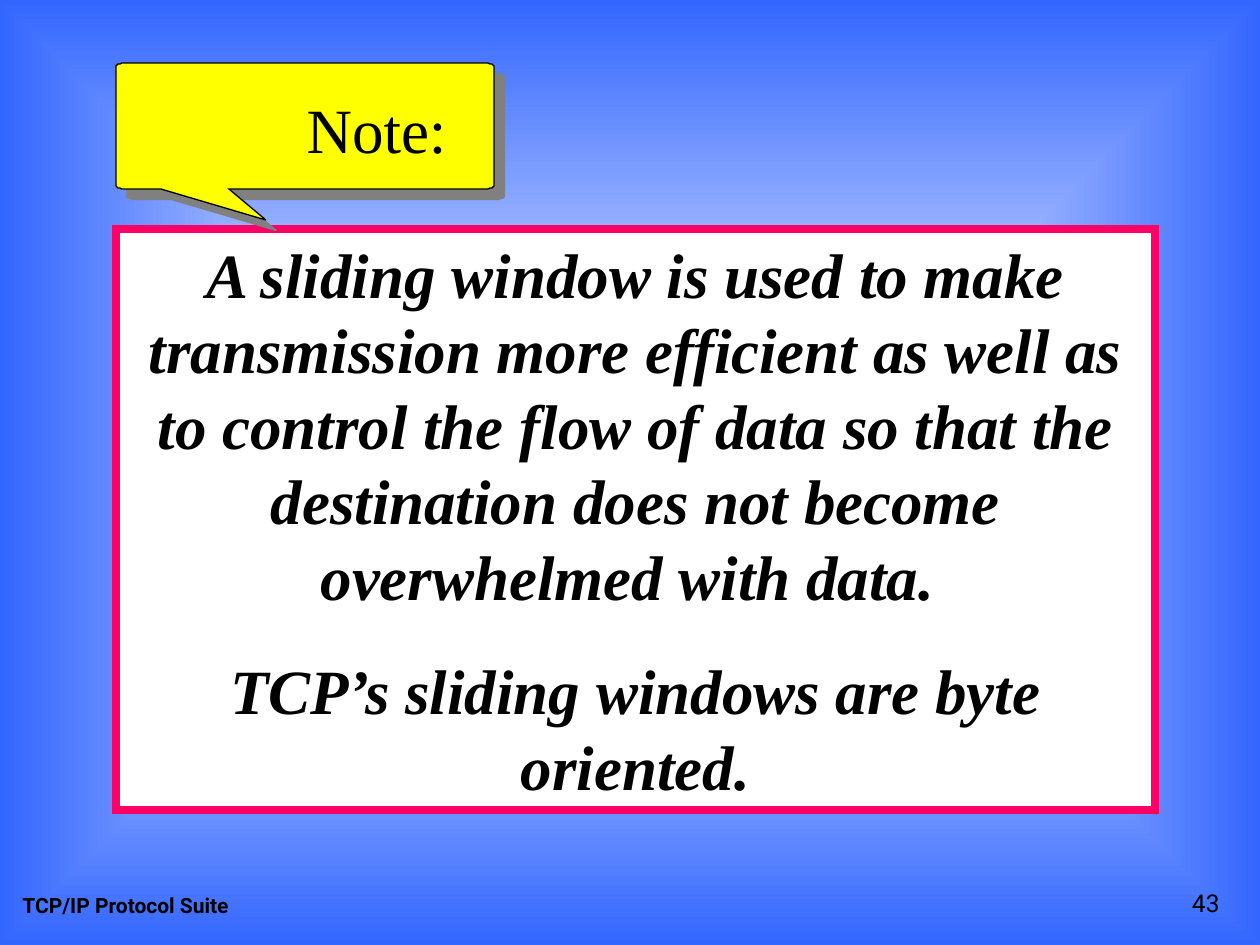
from dataclasses import dataclass
from math import cos, radians, sin

from lxml import etree
from pptx import Presentation
from pptx.dml.color import RGBColor
from pptx.enum.text import MSO_ANCHOR, MSO_AUTO_SIZE, PP_ALIGN
from pptx.enum.shapes import MSO_SHAPE
from pptx.oxml.ns import qn
from pptx.util import Emu, Pt

LEFT, MID, RIGHT = PP_ALIGN.LEFT, PP_ALIGN.CENTER, PP_ALIGN.RIGHT
TOP, LOW = MSO_ANCHOR.TOP, MSO_ANCHOR.BOTTOM
GROW, FIXED = MSO_AUTO_SIZE.SHAPE_TO_FIT_TEXT, MSO_AUTO_SIZE.NONE
RECT = MSO_SHAPE.RECTANGLE
SCALE = 914400 / 126
SERIF, SANS = "Times New Roman", "Roboto"
BLACK, WHITE, BLUE = "000000", "FFFFFF", "3366FF"
PINK, YELLOW, GRAY = "FF0066", "FFFF00", "808080"


@dataclass
class Box:
    left: int
    top: int
    width: int
    height: int


@dataclass
class Style:
    font: str
    size: int
    align: PP_ALIGN = LEFT
    bold: bool = False
    slant: bool = False
    before: int = 0
    after: int = 0


@dataclass
class Footer:
    text: str
    box: Box
    style: Style


def px(num: int) -> Emu:
    return Emu(round(num * SCALE))


def color(code: str) -> RGBColor:
    return RGBColor.from_string(code)


def place(box: Box) -> list[Emu]:
    return [px(num) for num in (box.left, box.top, box.width, box.height)]


def write(shape, lines: list[str], style: Style, anchor: MSO_ANCHOR) -> None:
    frame = shape.text_frame
    frame.text = "\n".join(lines)
    frame.word_wrap = True
    frame.vertical_anchor = anchor
    for para in frame.paragraphs:
        para.alignment = style.align
        para.space_before = Pt(style.before)
        para.space_after = Pt(style.after)
        font = para.font
        font.name, font.size = style.font, Pt(style.size)
        font.bold, font.italic = style.bold, style.slant
        font.color.rgb = color(BLACK)


def paint(shape, fill: str, line: str, width: float) -> None:
    shape.shadow.inherit = False
    shape.fill.solid()
    shape.fill.fore_color.rgb = color(fill)
    shape.line.color.rgb = color(line)
    shape.line.width = Pt(width)
    edge = shape._element.spPr.find(qn("a:ln"))
    etree.SubElement(edge, qn("a:miter"), {"lim": "800000"})


def backdrop(slide) -> None:
    fill = slide.background.fill
    fill.gradient()
    for stop, code in zip(fill.gradient_stops, (WHITE, BLUE)):
        stop.color.rgb = color(code)
    grad = next(slide.background._cSld.iter(qn("a:gradFill")))
    for lin in grad.findall(qn("a:lin")):
        grad.remove(lin)
    rect = etree.Element(qn("a:path"), {"path": "rect"})
    grad.find(qn("a:gsLst")).addnext(rect)
    sides = {side: "50000" for side in "ltrb"}
    etree.SubElement(rect, qn("a:fillToRect"), sides)


def curve(x: int, y: int, start: int) -> list[tuple[float, float]]:
    turns = [radians(start + 15 * step) for step in range(7)]
    return [(x + 8 * cos(turn), y + 4 * sin(turn)) for turn in turns]


def bubble(slide, box: Box, tail: list[tuple[int, int]]) -> None:
    west, east = box.left + 8, box.left + box.width - 8
    north, south = box.top + 4, box.top + box.height - 4
    points = curve(west, north, 180) + curve(east, north, 270)
    points += curve(east, south, 0) + tail + curve(west, south, 90)
    form = slide.shapes.build_freeform(*points[0], scale=SCALE)
    form.add_line_segments(points[1:], close=True)
    shape = form.convert_to_shape()
    paint(shape, YELLOW, BLACK, 0.75)
    effect = shape._element.spPr.find(qn("a:effectLst"))
    shade = etree.SubElement(effect, qn("a:outerShdw"), {
        "dist": str(Pt(8.5)), "dir": "2700000", "algn": "ctr", "rotWithShape": "0"})
    etree.SubElement(shade, qn("a:srgbClr"), {"val": GRAY})


def main() -> None:
    deck = Presentation()
    deck.slide_width, deck.slide_height = px(1260), px(945)
    slide = deck.slides.add_slide(deck.slide_layouts[5])
    backdrop(slide)

    for foot in (
        Footer("TCP/IP Protocol Suite", Box(10, 861, 399, 63), Style(SANS, 12, bold=True)),
        Footer("43", Box(970, 861, 262, 63), Style(SANS, 14, RIGHT)),
    ):
        label = slide.shapes.add_textbox(*place(foot.box))
        write(label, [foot.text], foot.style, LOW)

    panel = slide.shapes.add_shape(RECT, *place(Box(116, 229, 1039, 581)))
    paint(panel, WHITE, PINK, 4.5)
    write(panel, [
        "A sliding window is used to make transmission more efficient as well as "
        "to control the flow of data so that the destination does not become "
        "overwhelmed with data. ",
        "TCP’s sliding windows are byte oriented.",
    ], Style(SERIF, 36, MID, True, True, 12, 10), TOP)
    panel.text_frame.auto_size = GROW

    bubble(slide, Box(116, 63, 378, 126), [(229, 189), (266, 220), (161, 189)])

    title = slide.shapes.title
    title.left, title.top, title.width, title.height = place(Box(294, 84, 190, 88))
    write(title, ["Note:"], Style(SERIF, 36), TOP)
    title.text_frame.auto_size = FIXED
    slide.shapes._spTree.append(title._element)

    deck.save("out.pptx")


if __name__ == "__main__":
    main()
